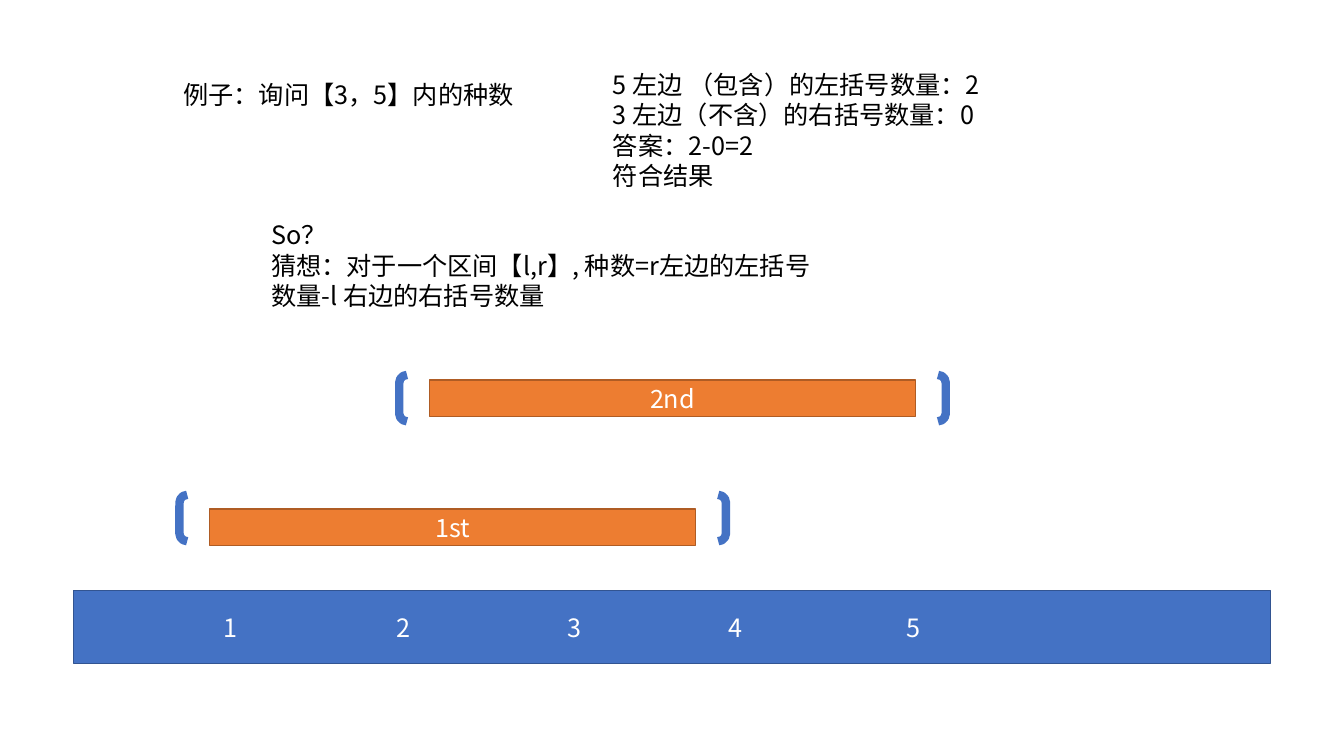
from lxml import etree
from pptx import Presentation
from pptx.dml.color import RGBColor
from pptx.enum import shapes, text
from pptx.oxml import ns
from pptx.util import Inches, Pt

THEME = {
    "font": "Noto Sans CJK SC", "size": 18,
    "ink": "000000", "on_fill": "FFFFFF",
    "axis": "4472C4", "axis_edge": "325491",
    "segment": "ED7D31", "segment_edge": "AF5C24",
    "edge_width": 1, "bracket_width": 6,
}

# Left, top, width, height in inches, then the lines
NOTES = [
    ((1.72, 0.74, 4.27, 0.4), ["例子：询问【3，5】内的种数"]),
    ((5.98, 0.64, 4.7, 1.31), ["5 左边 （包含）的左括号数量：2",
                               "3 左边（不含）的右括号数量：0",
                               "答案：2-0=2",
                               "符合结果"]),
    ((2.59, 2.13, 5.74, 1.01), ["So？",
                                "猜想：对于一个区间【l,r】, 种数=r左边的左括号数量-l 右边的右括号数量"]),
]
# Label, left, top, top of its brackets
SEGMENTS = [("1st", 2.08, 5.05, 4.91), ("2nd", 4.26, 3.77, 3.72)]
SEGMENT_SIZE = (4.82, 0.36)
BRACKET_REACH, BRACKET_HEIGHT = 0.3, 0.46
AXIS = (0.73, 5.86, 11.87, 0.72)
AXIS_MARKS = {"1": 2.29, "2": 4.0, "3": 5.7, "4": 7.3, "5": 9.06}  # centres
INSET = 0.1


def colour(role):
    """Return the theme colour of a role."""
    return RGBColor.from_string(THEME[role])


def write(frame, lines, role, align=text.PP_ALIGN.LEFT):
    """Fill a text frame and format its runs."""
    frame.word_wrap = True
    frame.text = "\n".join(lines)
    for line in frame.paragraphs:
        line.alignment = align
        for run in line.runs:
            run.font.name = THEME["font"]
            run.font.size = Pt(THEME["size"])
            run.font.color.rgb = colour(role)
            east_asian = etree.SubElement(run.font._element, ns.qn("a:ea"))
            east_asian.set("typeface", THEME["font"])


def add_figure(slide, preset, box, edge, width, fill=None):
    """Add a preset shape, filled or open."""
    figure = slide.shapes.add_shape(preset, *map(Inches, box))
    figure.shadow.inherit = False
    if fill:
        figure.fill.solid()
        figure.fill.fore_color.rgb = colour(fill)
    else:
        figure.fill.background()
    figure.line.color.rgb = colour(edge)
    figure.line.width = Pt(THEME[width])
    return figure


def add_bar(slide, box, role, label, align):
    """Add a filled bar with a label in its middle."""
    bar = add_figure(slide, shapes.MSO_SHAPE.RECTANGLE, box,
                     role + "_edge", "edge_width", role)
    write(bar.text_frame, [label], "on_fill", align)
    bar.text_frame.vertical_anchor = text.MSO_ANCHOR.MIDDLE
    return bar


def add_axis(slide):
    """Add the number bar, its marks set on centred tab stops."""
    marks = "".join("\t" + mark for mark in AXIS_MARKS)
    axis = add_bar(slide, AXIS, "axis", marks, text.PP_ALIGN.LEFT)
    properties = axis.text_frame.paragraphs[0]._p.get_or_add_pPr()
    stops = etree.SubElement(properties, ns.qn("a:tabLst"))
    for centre in AXIS_MARKS.values():
        stop = etree.SubElement(stops, ns.qn("a:tab"))
        stop.set("pos", str(Inches(centre - AXIS[0] - INSET)))
        stop.set("algn", "ctr")


def add_segment(slide, label, left, top, bracket_top):
    """Add a segment bar between its pair of brackets."""
    width, height = SEGMENT_SIZE
    add_bar(slide, (left, top, width, height), "segment", label,
            text.PP_ALIGN.CENTER)
    bracket_box = (left - BRACKET_REACH, bracket_top,
                   width + 2 * BRACKET_REACH, BRACKET_HEIGHT)
    add_figure(slide, shapes.MSO_SHAPE.DOUBLE_BRACKET, bracket_box,
               "axis", "bracket_width")


def main():
    """Build and save the slide."""
    deck = Presentation()
    deck.slide_width, deck.slide_height = Inches(13.33), Inches(7.5)
    slide = deck.slides.add_slide(deck.slide_layouts[6])
    add_axis(slide)
    for segment in SEGMENTS:
        add_segment(slide, *segment)
    for box, lines in NOTES:
        note = slide.shapes.add_textbox(*map(Inches, box))
        write(note.text_frame, lines, "ink")
    deck.save("out.pptx")


main()
